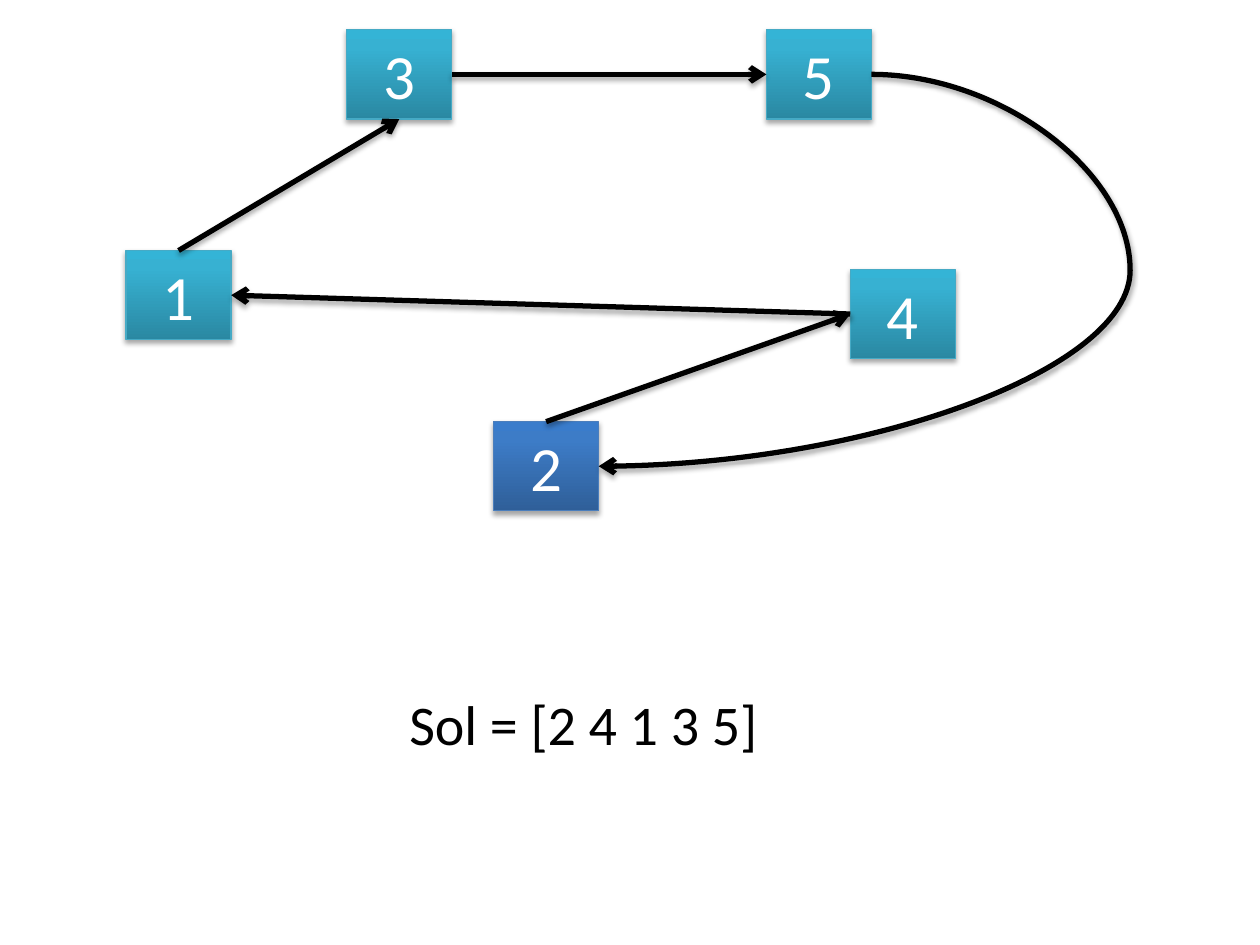
from dataclasses import dataclass

from lxml import etree
from pptx import Presentation
from pptx import util as u
from pptx.dml.color import RGBColor
from pptx.enum import shapes, text
from pptx.oxml.ns import qn


@dataclass(frozen=True)
class Theme:
    font: str = "Calibri"
    ink: str = "000000"
    pale: str = "FFFFFF"
    teal: tuple = ("2A88A2", "37B1D2", "34B4D6")
    blue: tuple = ("2F5F99", "3D7CC7", "3A7CCB")
    teal_rim: str = "46AAC5"
    blue_rim: str = "4B7EBC"
    node_size: int = 36
    sol_size: int = 32
    rim: float = 0.75
    stroke: float = 3


THEME = Theme()
NODE_W, NODE_H = 2.12, 1.8
TOP, LEFT, BOTTOM, RIGHT = range(4)  # connection sites of a rectangle

# Node: left and top in cm, inside the graph's box
NODES = {1: (0, 4.45), 2: (7.41, 7.9), 3: (4.45, 0),
         4: (14.6, 4.83), 5: (12.91, 0)}
START = 2
# From node and site, to node and site, bend of a curved link
LINKS = [
    (2, TOP, 4, LEFT, None),
    (4, LEFT, 1, RIGHT, None),
    (1, TOP, 3, BOTTOM, None),
    (3, RIGHT, 5, LEFT, None),
    (5, RIGHT, 2, RIGHT, -0.948),
]


def add(parent, tag, **attrs):
    return etree.SubElement(parent, qn(tag),
                            {key: str(val) for key, val in attrs.items()})


def shade(shape):
    """Give a shape or link a soft shadow below it."""
    cast = add(add(shape._element.spPr, "a:effectLst"), "a:outerShdw",
               blurRad=u.Pt(3.1), dist=u.Pt(1.8), dir=90 * 60000,
               rotWithShape=0)
    add(add(cast, "a:srgbClr", val=THEME.ink), "a:alpha", val=35000)


def blend(fill, tones):
    """Fill with three tones, from the bottom up."""
    fill.gradient()
    fill.gradient_angle = 90
    stops = fill._xPr.find(qn("a:gradFill")).find(qn("a:gsLst"))
    for stop in list(stops):
        stops.remove(stop)
    for pos, tone in zip((0, 80, 100), tones):
        add(add(stops, "a:gs", pos=pos * 1000), "a:srgbClr", val=tone)


def stroke(line, tone, width):
    line.color.rgb = RGBColor.from_string(tone)
    line.width = u.Pt(width)


def write(shape, words, size, tone):
    frame = shape.text_frame
    frame.text = words
    form = {"word_wrap": True,
            "auto_size": text.MSO_AUTO_SIZE.SHAPE_TO_FIT_TEXT}
    for key, val in form.items():
        setattr(frame, key, val)
    para = frame.paragraphs[0]
    para.alignment = text.PP_ALIGN.CENTER
    font = para.runs[0].font
    for key, val in {"name": THEME.font, "size": u.Pt(size)}.items():
        setattr(font, key, val)
    font.color.rgb = RGBColor.from_string(tone)


def node(slide, label, left, top):
    box = slide.shapes.add_shape(
        shapes.MSO_SHAPE.RECTANGLE,
        *map(u.Cm, (left, top, NODE_W, NODE_H)))
    first = label == START
    blend(box.fill, THEME.blue if first else THEME.teal)
    stroke(box.line, THEME.blue_rim if first else THEME.teal_rim, THEME.rim)
    shade(box)
    write(box, str(label), THEME.node_size, THEME.pale)
    return box


def link(slide, start, out, end, into, bend):
    kind = shapes.MSO_CONNECTOR
    wire = slide.shapes.add_connector(
        kind.STRAIGHT if bend is None else kind.CURVE, 0, 0, 0, 0)
    wire.begin_connect(start, out)
    wire.end_connect(end, into)
    stroke(wire.line, THEME.ink, THEME.stroke)
    add(wire.line._get_or_add_ln(), "a:tailEnd", type="arrow")
    shade(wire)
    if bend is not None:
        guide = wire._element.spPr.find(qn("a:prstGeom")).find(qn("a:avLst"))
        add(guide, "a:gd", name="adj1", fmla=f"val {round(bend * 100000)}")


def graph(slide, left, top):
    boxes = {label: node(slide, label, left + x, top + y)
             for label, (x, y) in NODES.items()}
    for start, out, end, into, bend in LINKS:
        link(slide, boxes[start], out, boxes[end], into, bend)


def answer(slide, left, top, width, height):
    box = slide.shapes.add_textbox(*map(u.Cm, (left, top, width, height)))
    write(box, "Sol = [2 4 1 3 5]", THEME.sol_size, THEME.ink)


def main():
    deck = Presentation()
    deck.slide_width, deck.slide_height = u.Cm(25.4), u.Cm(19.05)
    slide = deck.slides.add_slide(deck.slide_layouts[6])
    graph(slide, 2.54, 0.6)
    answer(slide, 2.34, 13.77, 18.85, 1.63)
    deck.save("out.pptx")


if __name__ == "__main__":
    main()
